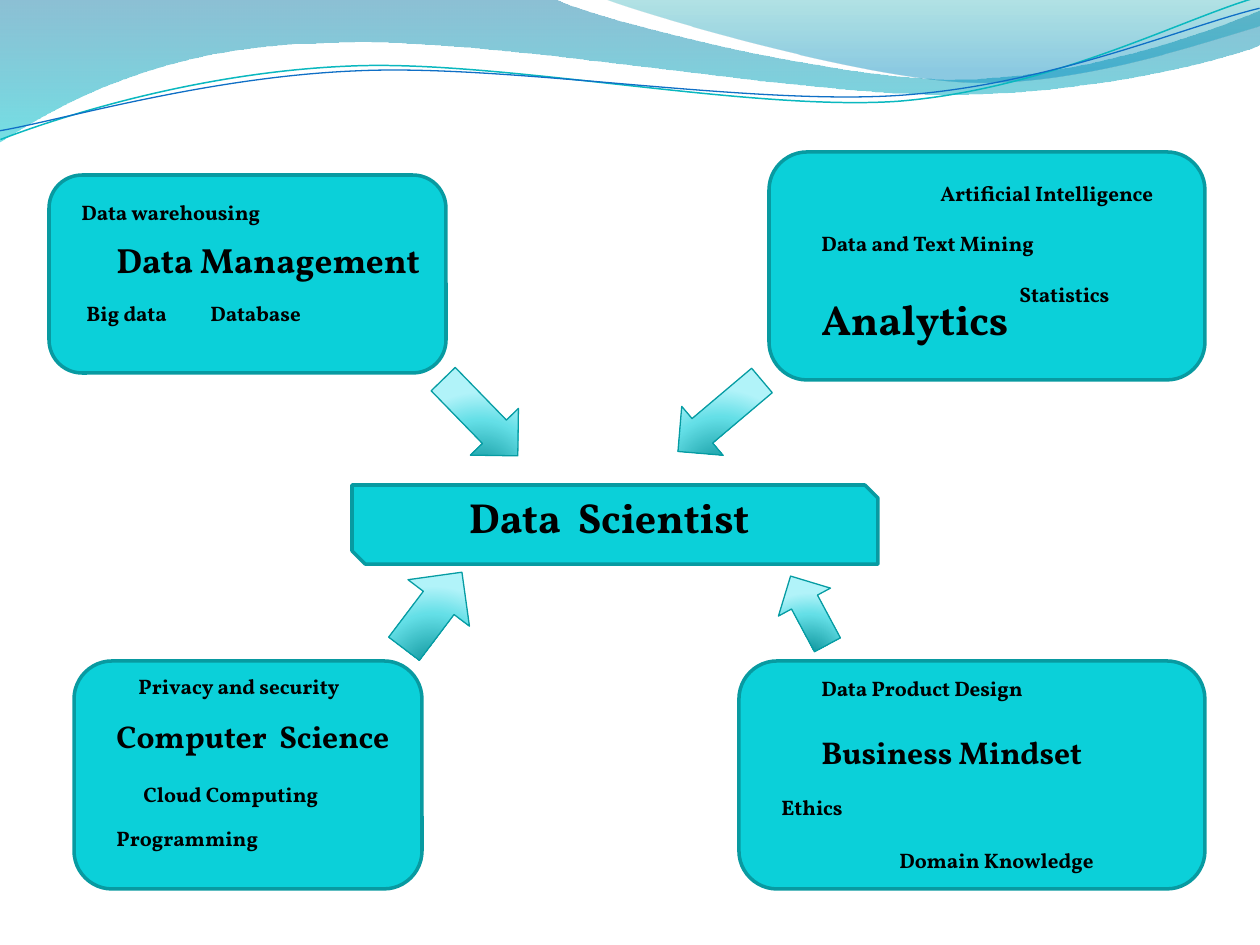
from lxml import etree
from pptx import Presentation
from pptx import util as u
from pptx.dml.color import RGBColor
from pptx.enum import shapes, text
from pptx.oxml import ns

SCALE = 914400 / 126
KIND = shapes.MSO_SHAPE


def emu(pixels):
    return u.Emu(round(pixels * SCALE))


def colour(value):
    return RGBColor.from_string(value)


class Painter:
    font, ink, fill, edge, arrow_edge = "Vollkorn", "000000", "0BD0D9", "089AA1", "069CA3"
    arrow_stops = ((0, "008A91", 100), (68, "64DFE7", 100), (100, "B1F3F9", 100))

    def __init__(self, page):
        self.page = page

    def outline(self, shape, line, width):
        shape.shadow.inherit = False
        if line:
            shape.line.color.rgb = colour(line)
            shape.line.width = u.Pt(width)
        else:
            shape.line.fill.background()

    def gradient(self, shape, stops, direction):
        shape.fill.background()
        marks = "".join(
            f'<a:gs pos="{pos * 1000}"><a:srgbClr val="{value}">'
            f'<a:alpha val="{alpha * 1000}"/></a:srgbClr></a:gs>'
            for pos, value, alpha in stops)
        fill = etree.fromstring(
            f'<a:gradFill {ns.nsdecls("a")} rotWithShape="0">'
            f'<a:gsLst>{marks}</a:gsLst>{direction}</a:gradFill>')
        properties = shape._element.spPr
        properties.replace(properties.find(ns.qn("a:noFill")), fill)

    def freeform(self, start, steps, stops=None, line=None, width=0, angle=0):
        """A step of two numbers is a straight line, one of six a Bezier curve."""
        points = [(emu(step[i]), emu(step[i + 1]))
                  for step in steps for i in range(0, len(step), 2)]
        builder = self.page.shapes.build_freeform(*map(emu, start), scale=1.0)
        builder.add_line_segments(points, close=bool(stops))
        shape = builder.convert_to_shape()
        segments = iter(list(shape._element.iter(ns.qn("a:lnTo"))))
        for step in steps:
            parts = [next(segments) for _ in range(len(step) // 2)]
            if len(parts) == 3:
                curve = etree.Element(ns.qn("a:cubicBezTo"))
                parts[0].addprevious(curve)
                for part in parts:
                    curve.append(part[0])
                    part.getparent().remove(part)
        shape.rotation = angle
        self.outline(shape, line, width)
        if stops:
            self.gradient(shape, stops, '<a:lin ang="5400000" scaled="0"/>')
        else:
            shape.fill.background()

    def panel(self, kind, *frame):
        shape = self.page.shapes.add_shape(kind, *map(emu, frame))
        self.outline(shape, self.edge, 2)
        shape.fill.solid()
        shape.fill.fore_color.rgb = colour(self.fill)

    def arrow(self, kind, angle, *frame):
        shape = self.page.shapes.add_shape(kind, *map(emu, frame))
        shape.rotation = angle
        self.outline(shape, self.arrow_edge, 0.75)
        self.gradient(shape, self.arrow_stops,
                      '<a:path path="circle"><a:fillToRect l="50000" t="130000" '
                      'r="50000" b="-30000"/></a:path>')

    def label(self, words, left, top, width, size=12, align=text.PP_ALIGN.LEFT):
        height = {12: 38, 18: 50, 20: 55, 24: 63}[size]
        box = self.page.shapes.add_textbox(*map(emu, (left, top, width, height)))
        frame = box.text_frame
        frame.word_wrap = True
        frame.auto_size = text.MSO_AUTO_SIZE.SHAPE_TO_FIT_TEXT
        para = frame.paragraphs[0]
        para.text = words
        para.alignment = align
        para.font.name, para.font.size, para.font.bold = self.font, u.Pt(size), True
        para.font.color.rgb = colour(self.ink)


deck = Presentation()
deck.slide_width, deck.slide_height = u.Inches(10), u.Inches(7.5)
page = deck.slides.add_slide(deck.slide_layouts[6])
painter = Painter(page)

# Waves along the top
painter.freeform(
    (-1, -1),
    [(554, -1), (600, 21, 837, 79, 955, 79), (1075, 79, 1207, 33, 1260, 11),
     (1261, 45), (1239, 55, 1096, 96, 940, 94), (784, 94, 481, 35, 324, 43),
     (163, 45, 58, 105, -1, 142)],
    stops=((0, "0074A1", 45), (100, "00C6CF", 55)))
painter.freeform(
    (604, -1),
    [(641, 14, 859, 78, 969, 82), (1079, 86, 1211, 40, 1260, 26), (1260, 0)],
    stops=((0, "00A1A9", 30), (80, "008BBF", 45)))
painter.freeform(
    (-2, 110),
    [(58, 90, 199, 52, 350, 53), (499, 53, 745, 117, 896, 114),
     (1049, 109, 1184, 45, 1260, 27)],
    line="0AB8BF", width=0.85, angle=357.3)
painter.freeform(
    (-2, 101),
    [(57, 94, 207, 57, 357, 58), (509, 58, 750, 112, 902, 108),
     (1052, 104, 1188, 52, 1262, 38)],
    line="0F6FC6", width=0.75, angle=357.3)

# Centre banner
painter.panel(KIND.SNIP_2_DIAG_RECTANGLE, 352, 485, 526, 79)
painter.label("Data  Scientist", 346, 485, 526, 24, text.PP_ALIGN.CENTER)

# Skill areas: panel frame, then labels as words, left, top, width, size
areas = [
    ((49, 175, 397, 198), [
        ("Data warehousing", 69, 193, 307),
        ("Data Management", 104, 232, 355, 20),
        ("Big data", 74, 294, 149),
        ("Database", 198, 294, 194)]),
    ((769, 152, 436, 228), [
        ("Analytics", 809, 287, 476, 24),
        ("Artificial Intelligence", 928, 174, 238),
        ("Statistics", 1007, 275, 159),
        ("Data and Text Mining", 809, 224, 277)]),
    ((74, 661, 348, 228), [
        ("Computer  Science", 104, 711, 355, 18),
        ("Programming", 104, 819, 248),
        ("Cloud Computing", 131, 775, 261),
        ("Privacy and security", 126, 667, 261)]),
    ((739, 661, 466, 228), [
        ("Business Mindset", 809, 727, 328, 18),
        ("Ethics", 769, 788, 297),
        ("Domain Knowledge", 887, 841, 253),
        ("Data Product Design", 809, 669, 277)]),
]
for panel, labels in areas:
    painter.panel(KIND.ROUNDED_RECTANGLE, *panel)
    for label in labels:
        painter.label(*label)

# Arrows towards the banner
for arrow in [
    (KIND.RIGHT_ARROW, 45.8, 427, 384, 107, 67),
    (KIND.LEFT_ARROW, 319.8, 665, 384, 110, 64),
    (KIND.RIGHT_ARROW, 307.1, 385, 572, 96, 77),
    (KIND.LEFT_ARROW, 61.8, 770, 581, 78, 59),
]:
    painter.arrow(*arrow)

deck.save("out.pptx")
